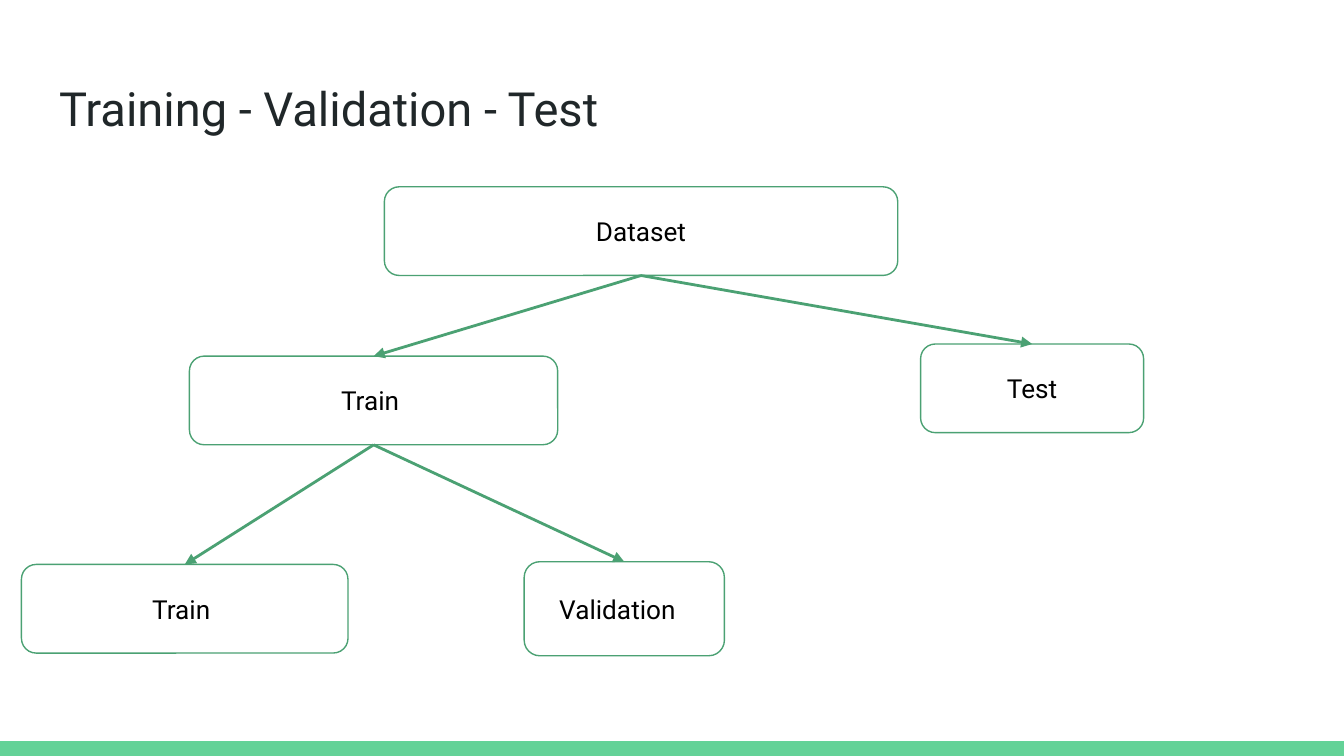
from dataclasses import dataclass

import pptx
import pptx.dml.color
import pptx.enum.shapes
import pptx.enum.text
import pptx.oxml
import pptx.oxml.ns
import pptx.util
from pptx.util import Inches

SHAPES = pptx.enum.shapes.MSO_SHAPE
ALIGN = pptx.enum.text.PP_ALIGN
ANCHOR = pptx.enum.text.MSO_ANCHOR
TOP, BOTTOM = 0, 2  # connection sites
SLIDE_WIDTH = 10
SLIDE_HEIGHT = SLIDE_WIDTH * 9 / 16


@dataclass(frozen=True)
class Theme:
    font: str = "Roboto"
    title_size: float = 25.2
    node_size: float = 14
    title_color: str = "202729"
    text_color: str = "000000"
    line_color: str = "4BA173"
    bar_color: str = "63D297"
    outline: float = 0.75
    arrow: float = 1.5
    inset: float = 0.1


THEME = Theme()

# name: (text, left, top, width, height, extra right inset), relative to the tree
NODES = {
    "dataset": ("Dataset", 2.7, 0, 3.82, 0.66, 0),
    "train": ("Train", 1.25, 1.26, 2.74, 0.66, 0.05),
    "test": ("Test", 6.69, 1.17, 1.66, 0.66, 0),
    "inner_train": ("Train", 0, 2.81, 2.43, 0.66, 0.05),
    "validation": ("Validation", 3.74, 2.79, 1.49, 0.7, 0.1),
}
SPLITS = {"dataset": ("train", "test"), "train": ("inner_train", "validation")}


def rgb(color):
    return pptx.dml.color.RGBColor.from_string(color)


def style_text(shape, text, size, color, alignment, anchor, extra_right=0):
    frame = shape.text_frame
    frame.word_wrap = True
    frame.auto_size = pptx.enum.text.MSO_AUTO_SIZE.NONE
    frame.vertical_anchor = anchor
    frame.margin_left = frame.margin_top = frame.margin_bottom = Inches(THEME.inset)
    frame.margin_right = Inches(THEME.inset + extra_right)
    paragraph = frame.paragraphs[0]
    paragraph.text = text
    paragraph.alignment = alignment
    paragraph.font.name = THEME.font
    paragraph.font.size = pptx.util.Pt(size)
    paragraph.font.color.rgb = rgb(color)


def add_title(slide, text, left, top, width, height):
    title = slide.shapes.title
    title.left, title.top = Inches(left), Inches(top)
    title.width, title.height = Inches(width), Inches(height)
    style_text(title, text, THEME.title_size, THEME.title_color, ALIGN.LEFT, ANCHOR.TOP)


def add_bar(slide, left, top, width, height):
    bar = slide.shapes.add_shape(
        SHAPES.RECTANGLE, Inches(left), Inches(top), Inches(width), Inches(height))
    bar.shadow.inherit = False
    bar.fill.solid()
    bar.fill.fore_color.rgb = rgb(THEME.bar_color)
    bar.line.fill.background()


def add_node(slide, text, left, top, width, height, extra_right):
    node = slide.shapes.add_shape(
        SHAPES.ROUNDED_RECTANGLE, Inches(left), Inches(top), Inches(width), Inches(height))
    node.shadow.inherit = False
    node.fill.background()
    node.line.color.rgb = rgb(THEME.line_color)
    node.line.width = pptx.util.Pt(THEME.outline)
    style_text(node, text, THEME.node_size, THEME.text_color,
               ALIGN.CENTER, ANCHOR.MIDDLE, extra_right)
    return node


def add_arrow(slide, parent, child):
    arrow = slide.shapes.add_connector(
        pptx.enum.shapes.MSO_CONNECTOR.STRAIGHT, 0, 0, 0, 0)
    arrow.begin_connect(parent, BOTTOM)
    arrow.end_connect(child, TOP)
    arrow.line.color.rgb = rgb(THEME.line_color)
    arrow.line.width = pptx.util.Pt(THEME.arrow)
    namespace = pptx.oxml.ns.nsdecls("a")
    line = arrow._element.spPr.find(pptx.oxml.ns.qn("a:ln"))
    line.append(pptx.oxml.parse_xml(f'<a:tailEnd {namespace} type="triangle"/>'))
    arrow._element.spPr.append(pptx.oxml.parse_xml(f"<a:effectLst {namespace}/>"))


def add_tree(slide, left, top):
    nodes = {
        name: add_node(slide, text, left + x, top + y, width, height, extra_right)
        for name, (text, x, y, width, height, extra_right) in NODES.items()
    }
    for parent, children in SPLITS.items():
        for child in children:
            add_arrow(slide, nodes[parent], nodes[child])


def main():
    presentation = pptx.Presentation()
    presentation.slide_width = Inches(SLIDE_WIDTH)
    presentation.slide_height = Inches(SLIDE_HEIGHT)
    slide = presentation.slides.add_slide(
        presentation.slide_layouts.get_by_name("Title Only"))
    bar_height = 0.11
    add_bar(slide, 0, SLIDE_HEIGHT - bar_height, SLIDE_WIDTH, bar_height)
    add_title(slide, "Training - Validation - Test", 0.34, 0.49, 9.32, 0.63)
    add_tree(slide, 0.16, 1.39)
    presentation.save("out.pptx")


if __name__ == "__main__":
    main()
